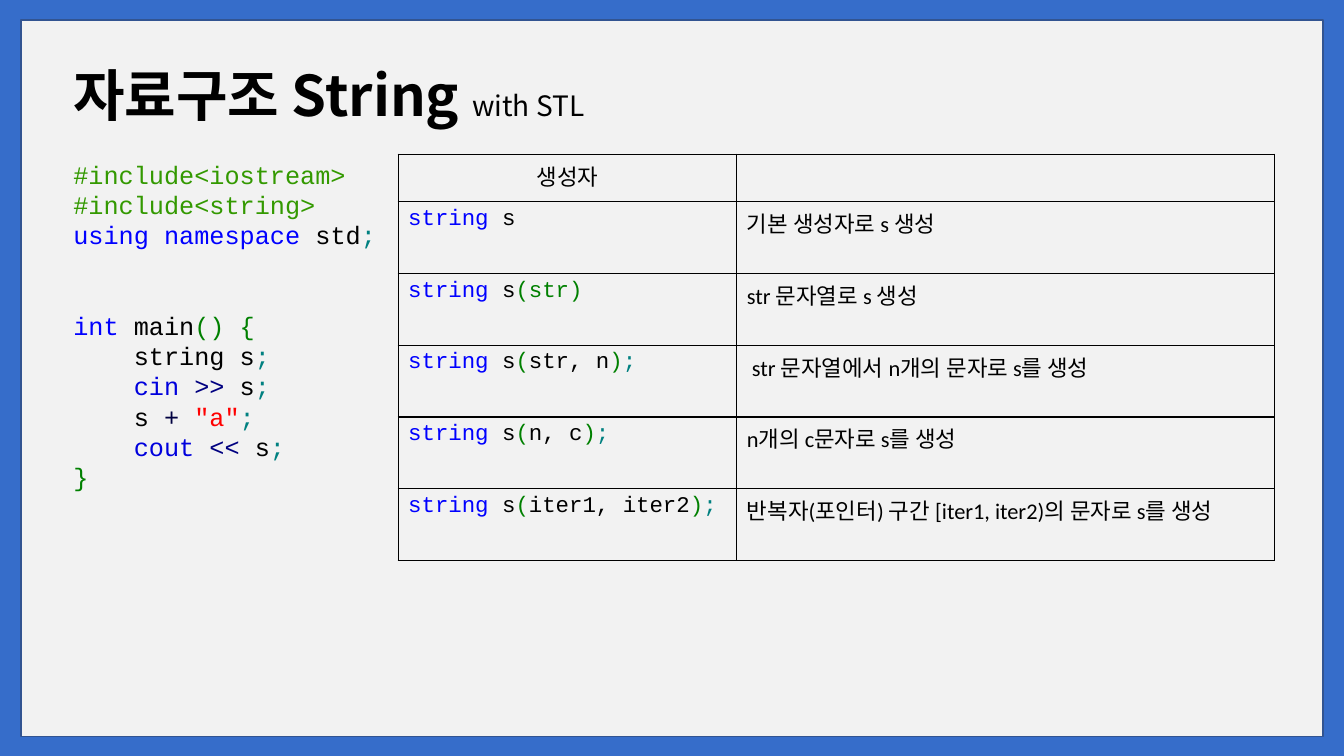
from typing import NamedTuple

from lxml.etree import SubElement
from pptx import Presentation
from pptx.dml.color import RGBColor
from pptx.enum.shapes import MSO_SHAPE as Preset
from pptx.enum.text import MSO_ANCHOR as Anchor, PP_ALIGN as Align
from pptx.oxml.ns import qn
from pptx.util import Emu, Inches, Pt

COLORS = {
    "border": "366DCA", "edge": "325491", "paper": "F2F2F2", "text": "000000",
    "include": "339900", "keyword": "0000FF", "stream": "0000DD",
    "operator": "000080", "plus": "000040", "literal": "FF0000",
    "bracket": "008000", "semicolon": "008080",
}
CODE, BODY, KOREAN = "Courier New", "Calibri", "Noto Sans CJK KR"
CODE_SIZE, CELL_SIZE = 18, 16
CODE_PITCH = 1.2 * CODE_SIZE   # points from one code line to the next
CODE_TAB = 4 * 0.6 * CODE_SIZE  # four monospaced characters

deck = Presentation()
deck.slide_width, deck.slide_height = Inches(13.33), Inches(7.5)
page = deck.slides.add_slide(deck.slide_layouts[6])


class Span(NamedTuple):
    text: str
    color: str = "text"


class CodeLine(NamedTuple):
    spans: list[Span]
    tabs: int = 0
    lines_before: int = 0


class Constructor(NamedTuple):
    arguments: list[Span]
    meaning: str


def cols(count: float) -> Emu:
    """Widths on a grid of 64 columns."""
    return Emu(round(deck.slide_width * count / 64))


def rows(count: float) -> Emu:
    """Heights on a grid of 36 rows."""
    return Emu(round(deck.slide_height * count / 36))


def rgb(name: str) -> RGBColor:
    return RGBColor.from_string(COLORS[name])


def set_font(font, name: str, size: float) -> None:
    font.name, font.size = name, Pt(size)
    font.color.rgb = rgb("text")
    SubElement(font._element, qn("a:ea"), typeface=KOREAN)


def write(para, spans: list[Span], name: str, size: float) -> None:
    for part in spans:
        span = para.add_run()
        span.text = part.text
        set_font(span.font, name, size)
        span.font.color.rgb = rgb(part.color)


def add_text_box(left: float, top: float, width: float, height: float, wrap: bool):
    box = page.shapes.add_textbox(cols(left), rows(top), cols(width), rows(height))
    box.text_frame.word_wrap = wrap
    return box.text_frame


def outline(cell) -> None:
    for side in ("lnL", "lnR", "lnT", "lnB"):
        line = SubElement(cell._tc.get_or_add_tcPr(), qn(f"a:{side}"), w=str(Pt(1)))
        fill = SubElement(line, qn("a:solidFill"))
        SubElement(fill, qn("a:srgbClr"), val=COLORS["text"])
    cell.fill.background()


END = Span(";", "semicolon")
OPEN, CLOSE = Span("(", "bracket"), Span(")", "bracket")


def call(arguments: str) -> list[Span]:
    return [OPEN, Span(arguments), CLOSE, END]


# Background and paper
page.background.fill.solid()
page.background.fill.fore_color.rgb = rgb("border")
paper = page.shapes.add_shape(Preset.RECTANGLE, cols(1), rows(0.96), cols(62), rows(34.13))
paper.shadow.inherit = False
paper.fill.solid()
paper.fill.fore_color.rgb = rgb("paper")
paper.line.color.rgb = rgb("edge")
paper.line.width = Pt(1)

# Title
title = add_text_box(3.02, 2.26, 57.66, 4.08, wrap=True)
title.vertical_anchor = Anchor.BOTTOM
heading = title.paragraphs[0]
heading.line_spacing = 0.9
write(heading, [Span("자료구조 String ")], KOREAN, 40)
heading.runs[0].font.bold = True
write(heading, [Span("with STL")], KOREAN, 20)

# Sample program
PROGRAM = [
    CodeLine([Span("#include<iostream>", "include")]),
    CodeLine([Span("#include<string>", "include")]),
    CodeLine([Span("using namespace", "keyword"), Span(" std"), END]),
    CodeLine([Span("int", "keyword"), Span(" main"), Span("() {", "bracket")], lines_before=2),
    CodeLine([Span("string s"), END], tabs=1),
    CodeLine([Span("cin ", "stream"), Span(">>", "operator"), Span(" s"), END], tabs=1),
    CodeLine([Span("s "), Span("+ ", "plus"), Span('"a"', "literal"), END], tabs=1),
    CodeLine([Span("cout ", "stream"), Span("<<", "operator"), Span(" s"), END], tabs=1),
    CodeLine([Span("}", "bracket")]),
]
listing = add_text_box(3.02, 7.34, 16.28, 15.02, wrap=False)
for index, code in enumerate(PROGRAM):
    para = listing.add_paragraph() if index else listing.paragraphs[0]
    para.line_spacing = Pt(CODE_PITCH)
    para.space_before = Pt(code.lines_before * CODE_PITCH)
    para._p.get_or_add_pPr().set("marL", str(Pt(code.tabs * CODE_TAB)))
    write(para, code.spans, CODE, CODE_SIZE)

# Table of constructors
CONSTRUCTORS = [
    Constructor([], "기본 생성자로 s 생성"),
    Constructor([Span("(str)", "bracket")], "str 문자열로 s 생성"),
    Constructor(call("str, n"), "\u00a0str 문자열에서 n개의\u00a0문자로 s를 생성"),
    Constructor(call("n, c"), "n개의 c문자로 s를 생성"),
    Constructor(call("iter1, iter2"), "반복자(포인터) 구간 [iter1, iter2)의 문자로 s를 생성"),
]
COLUMN_WIDTHS = (16.13, 25.59)
HEADER_HEIGHT, ROW_HEIGHT = 2.26, 3.42
table = page.shapes.add_table(
    len(CONSTRUCTORS) + 1, len(COLUMN_WIDTHS), cols(18.96), rows(7.34),
    cols(sum(COLUMN_WIDTHS)), rows(HEADER_HEIGHT + ROW_HEIGHT * len(CONSTRUCTORS)),
).table
table.first_row = table.horz_banding = False
for column, width in zip(table.columns, COLUMN_WIDTHS):
    column.width = cols(width)
for index, row in enumerate(table.rows):
    row.height = rows(ROW_HEIGHT if index else HEADER_HEIGHT)
for cell in table.iter_cells():
    outline(cell)

header = table.cell(0, 0).text_frame.paragraphs[0]
header.alignment = Align.CENTER
write(header, [Span("생성자")], CODE, CELL_SIZE)
for index, entry in enumerate(CONSTRUCTORS, start=1):
    signature, meaning = (table.cell(index, n).text_frame.paragraphs[0] for n in (0, 1))
    write(signature, [Span("string", "keyword"), Span(" s"), *entry.arguments], CODE, CELL_SIZE)
    write(meaning, [Span(entry.meaning)], BODY, CELL_SIZE)

deck.save("out.pptx")
